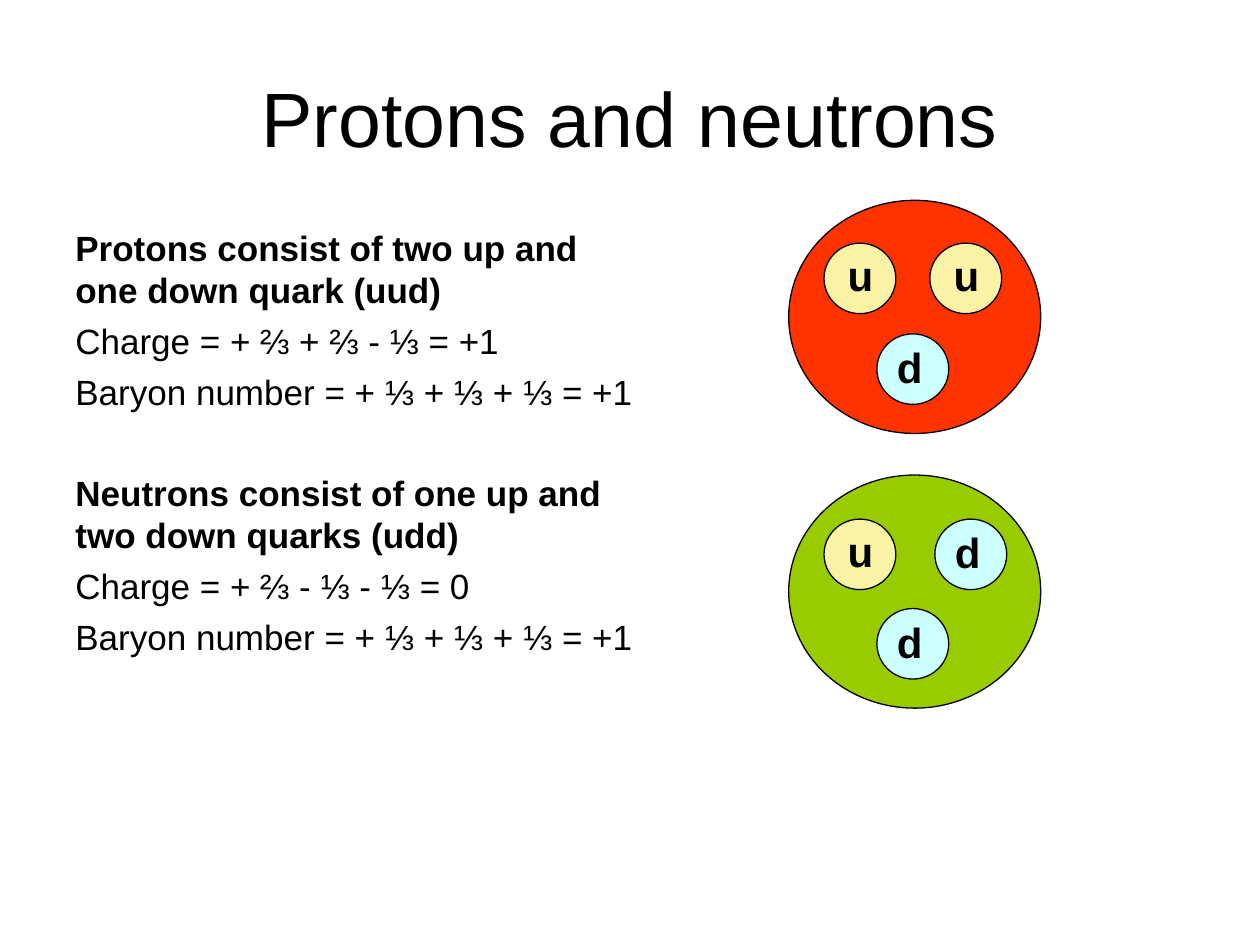
from dataclasses import dataclass
from typing import Any

from pptx import Presentation
from pptx.dml.color import RGBColor
from pptx.enum.shapes import MSO_SHAPE
from pptx.enum.text import MSO_ANCHOR, PP_ALIGN
from pptx.util import Inches, Pt

COLORS = {
    "text": "000000",
    "proton": "FF3300",
    "neutron": "99CC00",
    "u": "FAF2A4",
    "d": "CCFFFF",
}
LABEL_OFFSETS = {"u": (0.09, 0), "d": (0.06, 0.01)}


@dataclass
class Deck:
    """Hold the style and the current slide, and draw its elements."""

    s: Any
    font: str = "Arial"

    def color(self, name):
        return RGBColor.from_string(COLORS[name])

    def style(self, p, size, bold=False):
        for r in p.runs:
            r.font.name = self.font
            r.font.size = Pt(size)
            r.font.bold = bold
            r.font.color.rgb = self.color("text")

    def text(self, parent, x, y, w, h, text, size, bold=False):
        sp = parent.add_textbox(Inches(x), Inches(y), Inches(w), Inches(h))
        tf = sp.text_frame
        tf.word_wrap = True
        tf.text = text
        for p in tf.paragraphs:
            self.style(p, size, bold)
        return tf

    def title(self, text):
        tf = self.text(self.s.shapes, 0.5, 0.3, 9, 1.25, text, 44)
        tf.vertical_anchor = MSO_ANCHOR.MIDDLE
        tf.paragraphs[0].alignment = PP_ALIGN.CENTER

    def body(self, sections):
        lines = [line for section in sections for line in section]
        headings = [section[0] for section in sections]
        tf = self.text(self.s.shapes, 0.5, 1.75, 4.66, 4.95, "\n".join(lines), 20)
        for i, p in enumerate(tf.paragraphs):
            heading = p.text in headings
            p.line_spacing = Pt(24)
            p.space_before = Pt(0 if i == 0 else 34 if heading else 5)
            self.style(p, 20, heading)

    def ellipse(self, parent, x, y, w, h, fill):
        sp = parent.add_shape(MSO_SHAPE.OVAL, Inches(x), Inches(y), Inches(w), Inches(h))
        sp.shadow.inherit = False
        sp.fill.solid()
        sp.fill.fore_color.rgb = self.color(fill)
        sp.line.color.rgb = self.color("text")
        sp.line.width = Pt(0.75)

    def particle(self, name, x, y, quarks):
        group = self.s.shapes.add_group_shape().shapes
        self.ellipse(group, x, y, 2, 1.85, name)
        for flavour, dx, dy in quarks:
            self.ellipse(group, x + dx, y + dy, 0.57, 0.56, flavour)
            lx, ly = LABEL_OFFSETS[flavour]
            self.text(group, x + dx + lx, y + dy + ly, 0.46, 0.5, flavour, 24, True)


def main():
    prs = Presentation()
    prs.slide_width, prs.slide_height = Inches(10), Inches(7.5)
    deck = Deck(prs.slides.add_slide(prs.slide_layouts[6]))
    baryon_number = "Baryon number = + ⅓ + ⅓ + ⅓ = +1"

    deck.title("Protons and neutrons")
    deck.body([
        ("Protons consist of two up and one down quark (uud)",
         "Charge = + ⅔ + ⅔ - ⅓ = +1", baryon_number),
        ("Neutrons consist of one up and two down quarks (udd)",
         "Charge = + ⅔ - ⅓ - ⅓ = 0", baryon_number),
    ])
    deck.particle("proton", 6.26, 1.59,
                  [("u", 0.28, 0.34), ("d", 0.7, 1.06), ("u", 1.12, 0.34)])
    deck.particle("neutron", 6.26, 3.77,
                  [("u", 0.28, 0.35), ("d", 0.7, 1.06), ("d", 1.16, 0.35)])
    prs.save("out.pptx")


if __name__ == "__main__":
    main()
